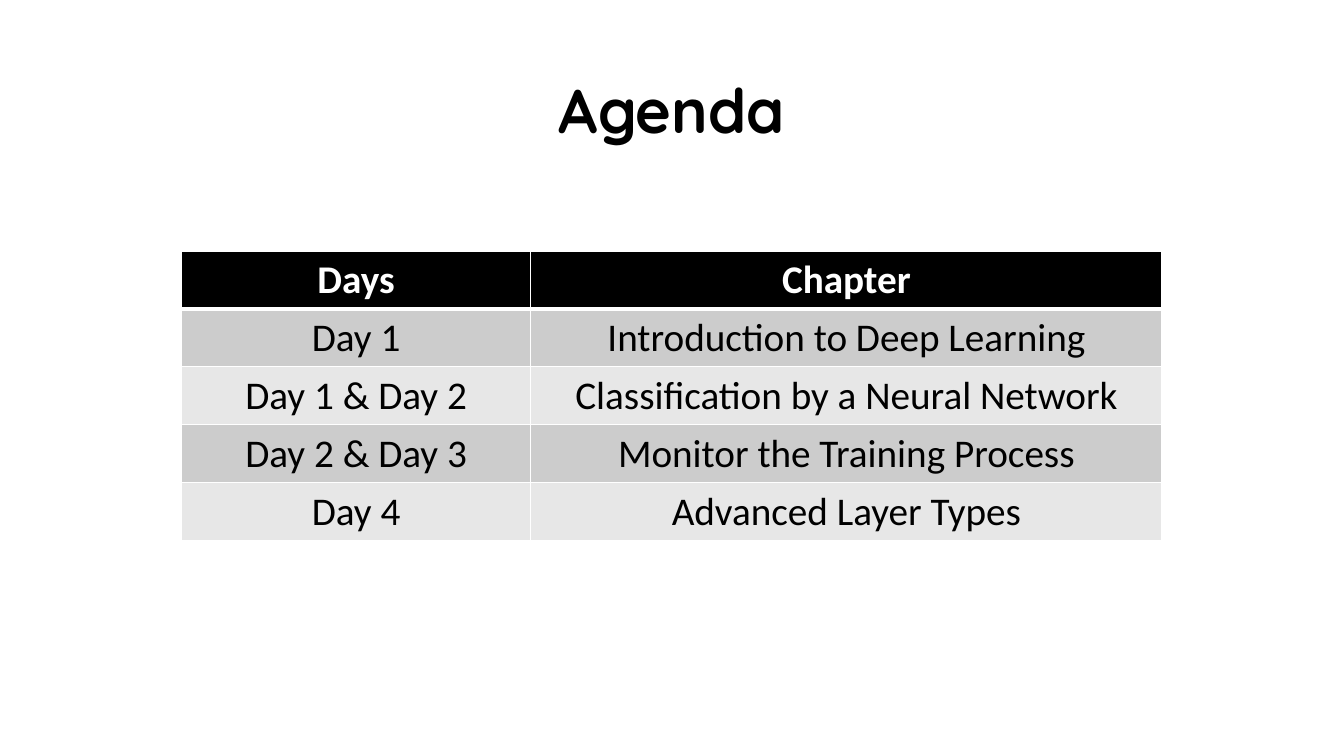
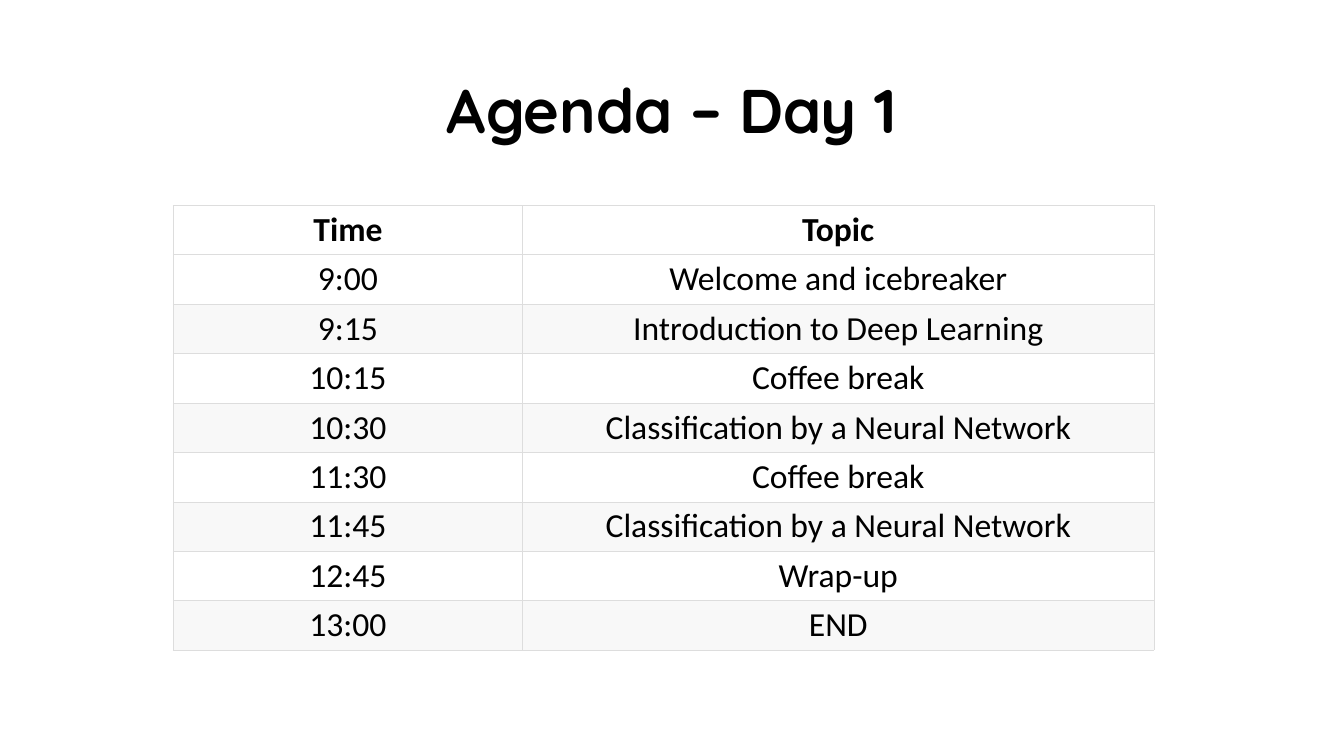
from dataclasses import dataclass
from lxml.etree import SubElement
from pptx import Presentation
from pptx.dml.color import RGBColor
from pptx.enum.text import MSO_ANCHOR, PP_ALIGN
from pptx.oxml.ns import qn
from pptx.util import Pt


@dataclass(frozen=True)
class Theme:
    black: str = "000000"
    white: str = "FFFFFF"
    dark: str = "CCCCCC"
    light: str = "E7E7E7"
    pale: str = "F8F8F8"
    rule: str = "DDDDDD"
    head: str = "Quicksand"
    body: str = "Calibri"
    title: float = 44
    large: float = 28
    small: float = 24


theme = Theme()


def write(frame, text, font, size, color, bold):
    line = frame.paragraphs[0]
    line.alignment = PP_ALIGN.CENTER
    run = line.add_run()
    run.text = text
    run.font.name = font
    run.font.size = Pt(size)
    run.font.bold = bold
    run.font.color.rgb = RGBColor.from_string(color)
    return line


def edge(cell, side, color, width):
    props = cell._tc.get_or_add_tcPr()
    line = SubElement(props, qn(f"a:ln{side}"), w=str(Pt(width)))
    fill = SubElement(line, qn("a:solidFill"))
    SubElement(fill, qn("a:srgbClr"), val=color)


plans = [
    {
        "title": "Agenda",
        "left": 129.6, "top": 179.3, "row": 41.4, "size": theme.large,
        "inset": (7.2, 3.6), "anchor": MSO_ANCHOR.TOP,
        "head": (theme.black, theme.white), "bands": (theme.dark, theme.light),
        "rule": (theme.white, 1), "under": 3,
        "rows": [
            ("Days", "Chapter"),
            ("Day 1", "Introduction to Deep Learning"),
            ("Day 1 & Day 2", "Classification by a Neural Network"),
            ("Day 2 & Day 3", "Monitor the Training Process"),
            ("Day 4", "Advanced Layer Types"),
        ],
    },
    {
        "title": "Agenda – Day 1",
        "left": 123.8, "top": 146.7, "row": 35.3, "size": theme.small,
        "inset": (6.5, 3), "anchor": MSO_ANCHOR.MIDDLE,
        "head": (theme.white, theme.black), "bands": (theme.white, theme.pale),
        "rule": (theme.rule, 0.5), "under": 0.5,
        "rows": [
            ("Time", "Topic"),
            ("9:00", "Welcome and icebreaker"),
            ("9:15", "Introduction to Deep Learning"),
            ("10:15", "Coffee break"),
            ("10:30", "Classification by a Neural Network"),
            ("11:30", "Coffee break"),
            ("11:45", "Classification by a Neural Network"),
            ("12:45", "Wrap-up"),
            ("13:00", "END"),
        ],
    },
]
widths = (249.5, 451)

deck = Presentation()
deck.slide_width = Pt(960)
deck.slide_height = Pt(540)

for plan in plans:
    slide = deck.slides.add_slide(deck.slide_layouts[6])
    box = slide.shapes.add_textbox(Pt(66), Pt(28.8), Pt(828), Pt(104.4))
    frame = box.text_frame
    frame.word_wrap = True
    frame.vertical_anchor = MSO_ANCHOR.MIDDLE
    line = write(frame, plan["title"], theme.head, theme.title, theme.black, True)
    line.line_spacing = 0.9

    rows = plan["rows"]
    table = slide.shapes.add_table(
        len(rows), len(widths), Pt(plan["left"]), Pt(plan["top"]),
        Pt(sum(widths)), Pt(plan["row"] * len(rows))).table
    for col, width in zip(table.columns, widths):
        col.width = Pt(width)

    color, thin = plan["rule"]
    for i, texts in enumerate(rows):
        table.rows[i].height = Pt(plan["row"])
        fill, ink = plan["head"] if i == 0 else (plan["bands"][(i - 1) % 2], theme.black)
        above = plan["under"] if i == 1 else thin
        below = plan["under"] if i == 0 else thin
        for j, text in enumerate(texts):
            cell = table.cell(i, j)
            cell.margin_left = cell.margin_right = Pt(plan["inset"][0])
            cell.margin_top = cell.margin_bottom = Pt(plan["inset"][1])
            cell.vertical_anchor = plan["anchor"]
            for side, width in zip("LRTB", (thin, thin, above, below)):
                edge(cell, side, color, width)
            cell.fill.solid()
            cell.fill.fore_color.rgb = RGBColor.from_string(fill)
            write(cell.text_frame, text, theme.body, plan["size"], ink, i == 0)

deck.save("out.pptx")
